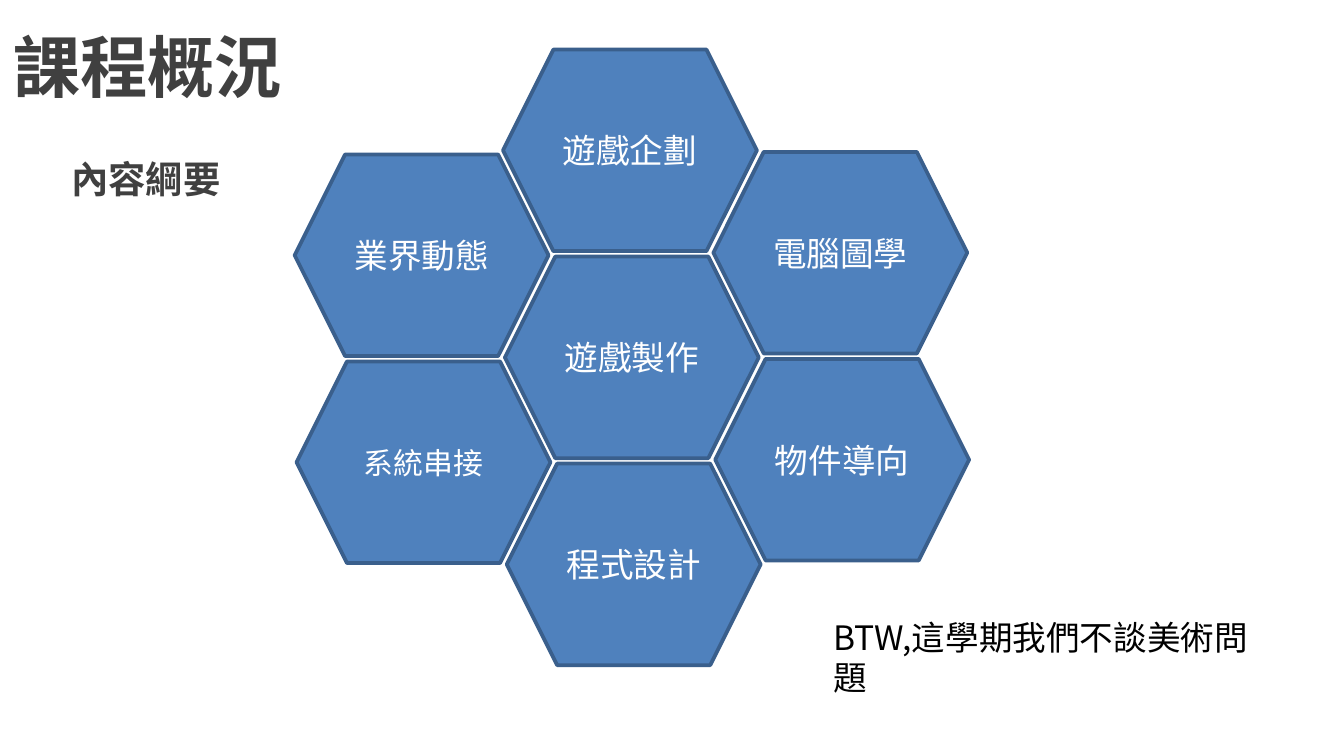
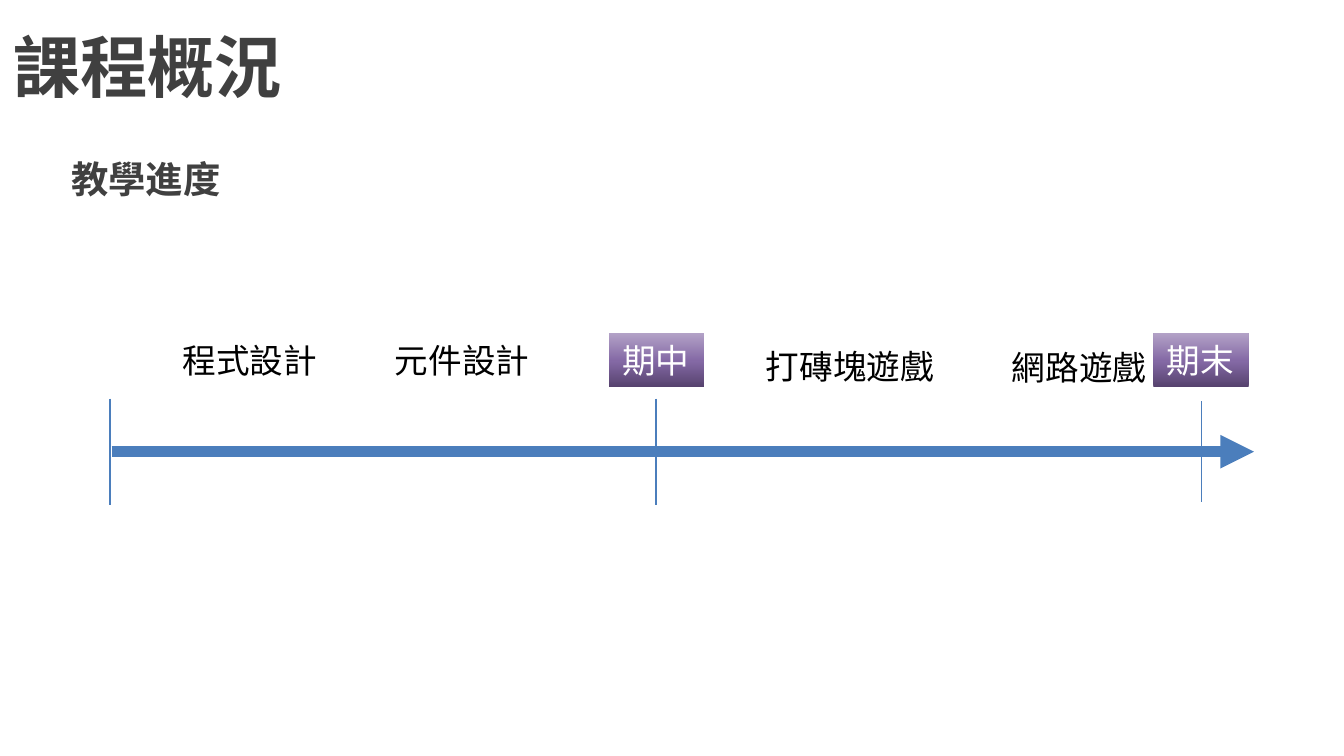
from copy import deepcopy
from dataclasses import dataclass

from lxml import etree
from pptx import Presentation
from pptx.dml.color import RGBColor as RGB
from pptx.enum.shapes import MSO_CONNECTOR as CONN, MSO_SHAPE as SHAPE
from pptx.enum.text import MSO_ANCHOR as ANCHOR, PP_ALIGN as ALIGN
from pptx.oxml.ns import qn
from pptx.util import Pt


@dataclass(frozen=True)
class Theme:
    font: str = "Noto Sans CJK SC"
    heading: str = "404040"
    text: str = "000000"
    light: str = "FFFFFF"
    cell: str = "4F81BD"
    cell_edge: str = "3A5F8C"
    axis: str = "4B7EBC"
    badge: tuple = ((0, "56426E"), (0.48, "8469A5"), (1, "B3A2C7"))
    title_size: int = 36
    subtitle_size: int = 20
    body_size: int = 18
    small_size: int = 16


T = Theme()

# Honeycomb: each column is (left, top, labels); lower rows drift right a little
HEX_W, HEX_H = 136, 108
ROW_STEP, ROW_DRIFT = 110.9, 1
COLUMNS = [
    (157.9, 82.8, ["業界動態", "系統串接"]),
    (269.5, 26.6, ["遊戲企劃", "遊戲製作", "程式設計"]),
    (382.2, 81.4, ["電腦圖學", "物件導向"]),
]
SMALL_LABELS = {"系統串接"}

# Timeline
AXIS_Y, AXIS_START, AXIS_END = 242, 59.8, 671.8
LABEL_TOP, LABEL_H, BADGE_W = 178.6, 28.8, 51.1
TICKS = [(59, 28.4), (351.4, 28.4), (643.6, 27)]  # x, half height
MILESTONES = [(351.8, "期中"), (643.4, "期末")]  # centre x, text
TOPICS = [
    (90.7, LABEL_TOP, 87.1, "程式設計"),
    (204.5, LABEL_TOP, 87.1, "元件設計"),
    (403.2, 181.8, 105.1, "打磚塊遊戲"),
    (535, 182.2, 87.1, "網路遊戲"),
]


# Text
def write(s, text, size, color, bold=False, align=None, anchor=ANCHOR.MIDDLE, wrap=True):
    tf = s.text_frame
    tf.word_wrap = wrap
    tf.vertical_anchor = anchor
    p = tf.paragraphs[0]
    p.alignment = align
    r = p.add_run()
    r.text = text
    f = r.font
    f.name, f.size, f.bold = T.font, Pt(size), bold
    f.color.rgb = RGB.from_string(color)
    ea = etree.Element(qn("a:ea"), typeface=T.font)
    r._r.get_or_add_rPr().find(qn("a:latin")).addnext(ea)
    return p


def add_text(sp, x, y, w, h, text, size=T.body_size, color=T.text, **style):
    return write(sp.add_textbox(Pt(x), Pt(y), Pt(w), Pt(h)), text, size, color, **style)


# Shapes
def add_hexagon(sp, x, y, text):
    s = sp.add_shape(SHAPE.HEXAGON, Pt(x), Pt(y), Pt(HEX_W), Pt(HEX_H))
    s.shadow.inherit = False
    s.fill.solid()
    s.fill.fore_color.rgb = RGB.from_string(T.cell)
    s.line.color.rgb = RGB.from_string(T.cell_edge)
    s.line.width = Pt(2)
    size = T.small_size if text in SMALL_LABELS else T.body_size
    write(s, text, size, T.light, align=ALIGN.CENTER)


def add_badge(sp, center, text):
    s = sp.add_shape(SHAPE.RECTANGLE, Pt(center - BADGE_W / 2), Pt(LABEL_TOP),
                     Pt(BADGE_W), Pt(LABEL_H))
    s.shadow.inherit = False
    s.line.fill.background()
    s.fill.gradient()
    s.fill.gradient_angle = 90
    stops = s._element.spPr.find(".//" + qn("a:gsLst"))
    stops.append(deepcopy(stops[0]))
    for stop, (position, color) in zip(s.fill.gradient_stops, T.badge):
        stop.position = position
        stop.color.rgb = RGB.from_string(color)
    write(s, text, T.body_size, T.light, align=ALIGN.LEFT, wrap=False)


def add_line(sp, x1, y1, x2, y2, width, arrow=False):
    s = sp.add_connector(CONN.STRAIGHT, Pt(x1), Pt(y1), Pt(x2), Pt(y2))
    s.line.color.rgb = RGB.from_string(T.axis)
    s.line.width = Pt(width)
    spPr = s._element.spPr
    if arrow:
        etree.SubElement(spPr.find(qn("a:ln")), qn("a:tailEnd"), type="triangle")
    etree.SubElement(spPr, qn("a:effectLst"))


# Slides
def add_slide(prs, subtitle):
    sp = prs.slides.add_slide(prs.slide_layouts[6]).shapes
    add_text(sp, 0, 0, 720, 70, "課程概況", T.title_size, T.heading, bold=True)
    p = add_text(sp, 31, 77.8, 669, 36, subtitle, T.subtitle_size, T.heading, bold=True)
    p.space_before = Pt(4)
    return sp


def build_outline(prs):
    sp = add_slide(prs, "內容綱要")
    for left, top, labels in COLUMNS:
        for row, text in enumerate(labels):
            add_hexagon(sp, left + row * ROW_DRIFT, top + row * ROW_STEP, text)
    p = add_text(sp, 439.2, 326.9, 254.2, LABEL_H, "BTW,這學期我們不談美術問題",
                 anchor=ANCHOR.TOP)
    p.line_spacing = Pt(21.5)


def build_schedule(prs):
    sp = add_slide(prs, "教學進度")
    add_line(sp, AXIS_START, AXIS_Y, AXIS_END, AXIS_Y, 6, arrow=True)
    for x, half in TICKS:
        add_line(sp, x, AXIS_Y - half, x, AXIS_Y + half, 0.75)
    for center, text in MILESTONES:
        add_badge(sp, center, text)
    for x, y, w, text in TOPICS:
        add_text(sp, x, y, w, LABEL_H, text, wrap=False)


def main():
    prs = Presentation()
    prs.slide_width, prs.slide_height = Pt(720), Pt(405)
    build_outline(prs)
    build_schedule(prs)
    prs.save("out.pptx")


if __name__ == "__main__":
    main()
